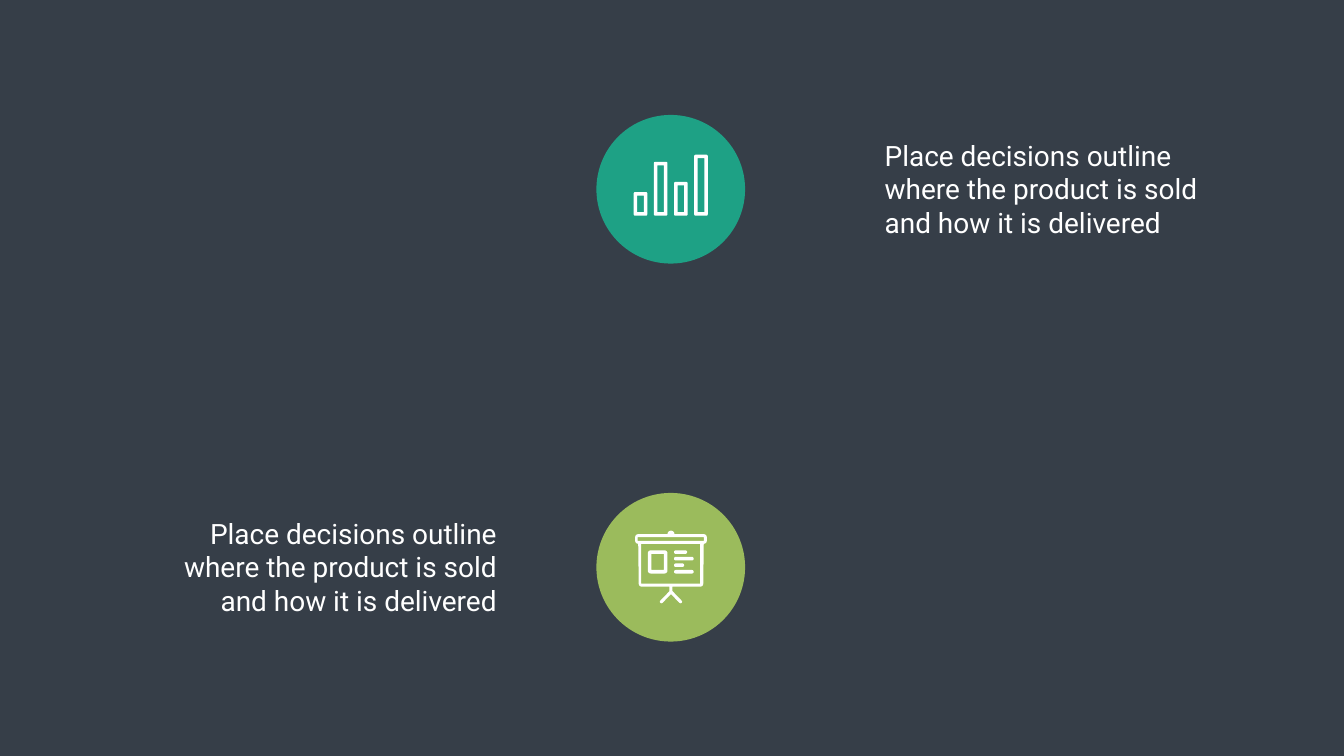
from math import cos, radians, sin

from pptx import Presentation
from pptx.dml.color import RGBColor
from pptx.enum.shapes import MSO_SHAPE
from pptx.enum.text import MSO_AUTO_SIZE, PP_ALIGN
from pptx.util import Inches, Pt

OVAL = MSO_SHAPE.OVAL
LEFT, RIGHT = PP_ALIGN.LEFT, PP_ALIGN.RIGHT
GROW = MSO_AUTO_SIZE.SHAPE_TO_FIT_TEXT

COLORS = {
    "background": "363E48",
    "teal": "1EA185",
    "green": "9BBB5C",
    "white": "FFFFFF",
}
MESSAGE = "Place decisions outline where the product is sold and how it is delivered"
CENTER_X = 13.31
STROKE = 0.07


def color(name):
    return RGBColor.from_string(COLORS[name])


def arc(cx, cy, radius, start, end, steps=8):
    angles = [radians(start + (end - start) * i / steps) for i in range(steps + 1)]
    return [(cx + radius * cos(a), cy + radius * sin(a)) for a in angles]


def box(left, top, right, bottom, radius=0):
    if not radius:
        return [(left, top), (right, top), (right, bottom), (left, bottom)]
    l, t, r, b = left + radius, top + radius, right - radius, bottom - radius
    corners = [(l, t, 180), (r, t, 270), (r, b, 0), (l, b, 90)]
    return [pt for x, y, a in corners for pt in arc(x, y, radius, a, a + 90)]


def frame(left, top, right, bottom, radius):
    inner = box(left + STROKE, top + STROKE, right - STROKE, bottom - STROKE)
    return [box(left, top, right, bottom, radius), inner]


def bar_chart_icon():
    contours = []
    for i, top in enumerate([3.81, 3.21, 3.61, 3.07]):
        left = 12.57 + 0.4 * i
        contours += frame(left, top, left + 0.27, 4.28, 0.03)
    return contours


def board_icon():
    half = (
        arc(CENTER_X, 10.6, STROKE, -90, 0)
        + arc(13.96, 10.66, 0.06, -90, 0)
        + arc(13.96, 10.73, 0.06, 0, 90)
        + arc(13.89, 11.58, 0.06, 0, 90)
        + [(13.34, 11.64), (13.34, 11.73)]
        + arc(13.5, 11.94, 0.03, -45, 135)
        + [(CENTER_X, 11.79)]
    )
    mirrored = [(2 * CENTER_X - x, y) for x, y in reversed(half[1:-1])]
    contours = [
        half + mirrored,
        box(12.65, 10.66, 13.96, 10.73),
        box(12.72, 10.79, 13.89, 11.58),
    ]
    contours += frame(12.85, 10.92, 13.24, 11.38, 0.06)
    for i, right in enumerate([13.63, 13.76, 13.57, 13.76]):
        top = 10.92 + 0.13 * i
        contours.append(box(13.37, top, right, top + STROKE, STROKE / 2))
    return contours


class Deck:
    font = "Roboto"
    size = Pt(40)

    def __init__(self, prs):
        self.s = prs.slides.add_slide(prs.slide_layouts[6])
        fill = self.s.background.fill
        fill.solid()
        fill.fore_color.rgb = color("background")

    def paint(self, sp, name):
        sp.shadow.inherit = False
        sp.fill.solid()
        sp.fill.fore_color.rgb = color(name)
        sp.line.fill.background()

    def circle(self, left, top, diameter, name):
        d = Inches(diameter)
        sp = self.s.shapes.add_shape(OVAL, Inches(left), Inches(top), d, d)
        self.paint(sp, name)

    def icon(self, contours, name):
        shapes = [[(Inches(x), Inches(y)) for x, y in c] for c in contours]
        builder = self.s.shapes.build_freeform(*shapes[0][0])
        builder.add_line_segments(shapes[0][1:])
        for points in shapes[1:]:
            builder.move_to(*points[0])
            builder.add_line_segments(points[1:])
        self.paint(builder.convert_to_shape(), name)

    def text(self, left, top, width, height, words, align):
        sp = self.s.shapes.add_textbox(
            Inches(left), Inches(top), Inches(width), Inches(height)
        )
        tf = sp.text_frame
        tf.word_wrap = True
        tf.auto_size = GROW
        p = tf.paragraphs[0]
        p.alignment = align
        r = p.add_run()
        r.text = words
        r.font.name = self.font
        r.font.size = self.size
        r.font.color.rgb = color("white")


def main():
    prs = Presentation()
    prs.slide_width, prs.slide_height = Inches(26.66), Inches(15)
    deck = Deck(prs)
    rows = [
        (2.28, "teal", bar_chart_icon(), 17.45, LEFT),
        (9.78, "green", board_icon(), 3.39, RIGHT),
    ]
    for top, name, contours, text_left, align in rows:
        deck.text(text_left, top + 0.41, 6.56, 2.12, MESSAGE, align)
        deck.circle(11.83, top, 2.95, name)
        deck.icon(contours, "white")
    prs.save("out.pptx")


if __name__ == "__main__":
    main()
